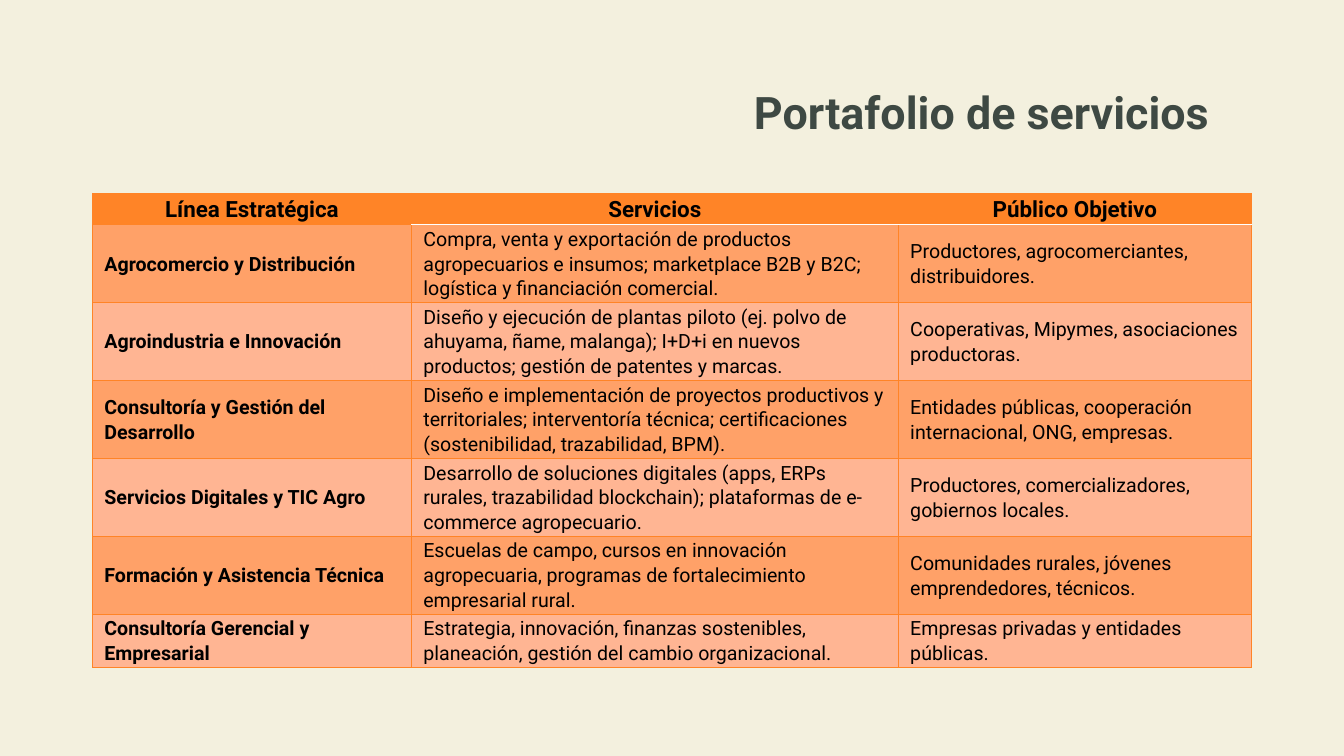
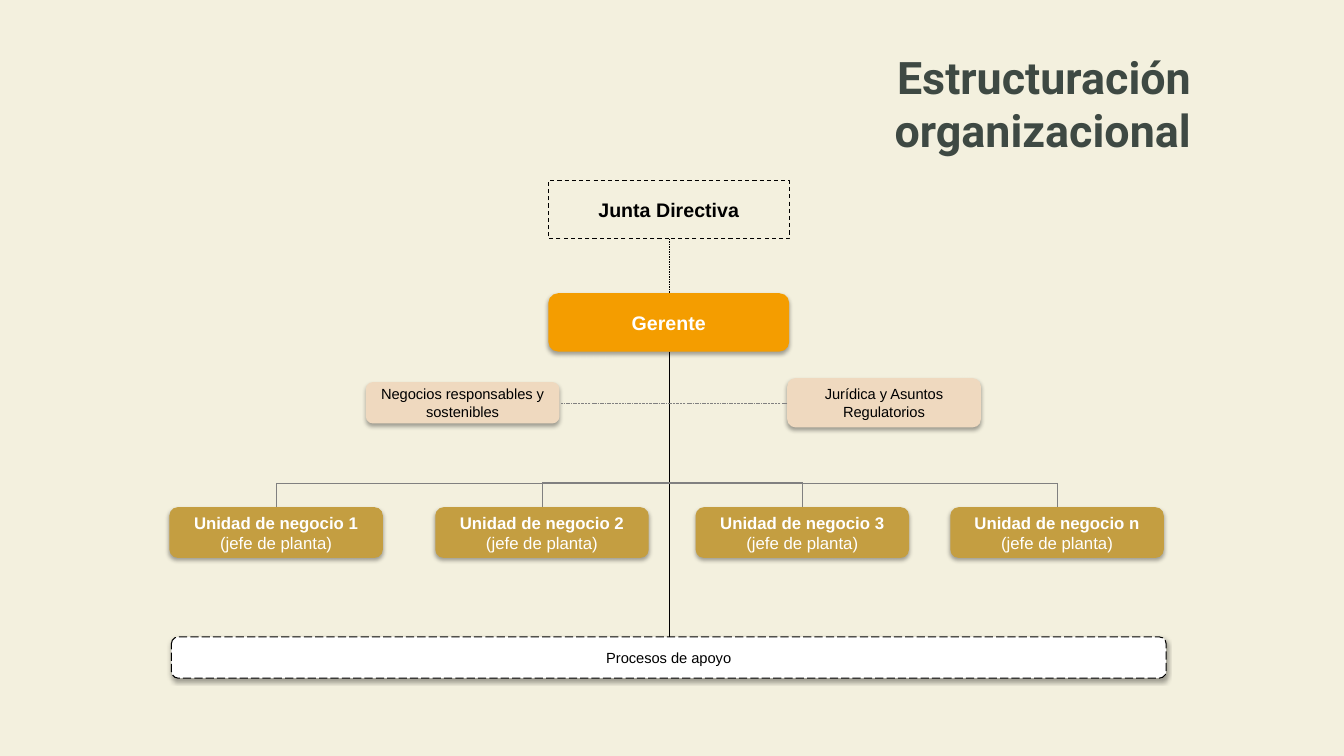
from lxml.etree import SubElement
from pptx import Presentation
from pptx.dml.color import RGBColor
from pptx.enum.dml import MSO_LINE
from pptx.enum.shapes import MSO_CONNECTOR, MSO_SHAPE
from pptx.enum.text import MSO_ANCHOR, PP_ALIGN
from pptx.oxml import parse_xml
from pptx.oxml.ns import nsdecls, qn
from pptx.util import Cm, Pt

CREAM = RGBColor(0xF3, 0xF0, 0xDE)
SLATE = RGBColor(0x3E, 0x49, 0x43)
BLACK = RGBColor(0x00, 0x00, 0x00)
WHITE = RGBColor(0xFF, 0xFF, 0xFF)
GRAY = RGBColor(0x80, 0x80, 0x80)
ORANGE = RGBColor(0xFF, 0x84, 0x27)
DARK_BAND = RGBColor(0xFF, 0xA1, 0x68)
LIGHT_BAND = RGBColor(0xFF, 0xB5, 0x93)
AMBER = RGBColor(0xF4, 0x9D, 0x00)
SAND = RGBColor(0xEF, 0xD9, 0xBF)
GOLD = RGBColor(0xC4, 0x9E, 0x41)


def add_box(page, kind, place, lines, size, color, fill=None, dash=None):
    box = page.shapes.add_shape(kind, *[Cm(length) for length in place])
    box.shadow.inherit = False
    if fill is None:
        box.fill.background()
    else:
        box.fill.solid()
        box.fill.fore_color.rgb = fill
        box._element.spPr.find(qn("a:effectLst")).append(parse_xml(
            f'<a:outerShdw {nsdecls("a")} blurRad="40000" dist="23000" dir="5400000" rotWithShape="0">'
            '<a:srgbClr val="000000"><a:alpha val="35000"/></a:srgbClr></a:outerShdw>'))
    if dash is None:
        box.line.fill.background()
    else:
        box.line.color.rgb = BLACK
        box.line.width = Pt(0.75)
        box.line.dash_style = dash
    frame = box.text_frame
    frame.word_wrap = True
    frame.vertical_anchor = MSO_ANCHOR.MIDDLE
    frame.margin_left = frame.margin_right = Cm(0.15)
    frame.margin_top = frame.margin_bottom = Cm(0.2)
    for index, (text, bold) in enumerate(lines):
        para = frame.add_paragraph() if index else frame.paragraphs[0]
        para.text = text
        para.alignment = PP_ALIGN.CENTER
        para.font.name = "Arial"
        para.font.size = Pt(size)
        para.font.bold = bold
        para.font.color.rgb = color
    return box


def add_line(page, ends, color, dash=None, start=None, finish=None):
    line = page.shapes.add_connector(MSO_CONNECTOR.STRAIGHT, *[Cm(length) for length in ends])
    line.line.color.rgb = color
    line.line.width = Pt(0.25)
    if dash is not None:
        line.line.dash_style = dash
    SubElement(line._element.spPr, qn("a:effectLst"))
    if start:
        line.begin_connect(*start)
    if finish:
        line.end_connect(*finish)


deck = Presentation()
deck.slide_width = Cm(33.87)
deck.slide_height = Cm(19.05)
deck.slide_master.background.fill.solid()
deck.slide_master.background.fill.fore_color.rgb = CREAM

titles = [
    ("Portafolio de servicios", (18.64, 2.01, 12.09, 1.62)),
    ("Estructuración organizacional", (17.7, 1.12, 12.57, 3)),
]
pages = []
for text, place in titles:
    page = deck.slides.add_slide(deck.slide_layouts[6])
    pages.append(page)
    title = page.shapes.add_textbox(*[Cm(length) for length in place])
    title.text_frame.word_wrap = True
    para = title.text_frame.paragraphs[0]
    para.text = text
    para.alignment = PP_ALIGN.RIGHT
    para.font.name = "Roboto"
    para.font.size = Pt(32)
    para.font.bold = True
    para.font.color.rgb = SLATE
services_page, structure_page = pages

services = [
    ("Línea Estratégica", "Servicios", "Público Objetivo"),
    ("Agrocomercio y Distribución",
     "Compra, venta y exportación de productos agropecuarios e insumos; marketplace B2B y B2C; logística y financiación comercial.",
     "Productores, agrocomerciantes, distribuidores."),
    ("Agroindustria e Innovación",
     "Diseño y ejecución de plantas piloto (ej. polvo de ahuyama, ñame, malanga); I+D+i en nuevos productos; gestión de patentes y marcas.",
     "Cooperativas, Mipymes, asociaciones productoras."),
    ("Consultoría y Gestión del Desarrollo",
     "Diseño e implementación de proyectos productivos y territoriales; interventoría técnica; certificaciones (sostenibilidad, trazabilidad, BPM).",
     "Entidades públicas, cooperación internacional, ONG, empresas."),
    ("Servicios Digitales y TIC Agro",
     "Desarrollo de soluciones digitales (apps, ERPs rurales, trazabilidad blockchain); plataformas de e-commerce agropecuario.",
     "Productores, comercializadores, gobiernos locales."),
    ("Formación y Asistencia Técnica",
     "Escuelas de campo, cursos en innovación agropecuaria, programas de fortalecimiento empresarial rural.",
     "Comunidades rurales, jóvenes emprendedores, técnicos."),
    ("Consultoría Gerencial y Empresarial",
     "Estrategia, innovación, finanzas sostenibles, planeación, gestión del cambio organizacional.",
     "Empresas privadas y entidades públicas."),
]
column_widths = [8.04, 12.27, 8.9]
row_heights = [0.79] + [1.96] * 5 + [1.34]
table = services_page.shapes.add_table(
    len(services), 3, Cm(2.33), Cm(4.87), Cm(sum(column_widths)), Cm(sum(row_heights))).table
for column, width in zip(table.columns, column_widths):
    column.width = Cm(width)
for row, height in zip(table.rows, row_heights):
    row.height = Cm(height)

for row_index, texts in enumerate(services):
    is_header = row_index == 0
    for column_index, text in enumerate(texts):
        cell = table.cell(row_index, column_index)
        white_side = {0: "lnB", 1: "lnT"}.get(row_index) if column_index else None
        for side in ("lnL", "lnR", "lnT", "lnB"):
            color, width = (WHITE, 1) if side == white_side else (ORANGE, 0.5)
            cell._tc.get_or_add_tcPr().append(parse_xml(
                f'<a:{side} {nsdecls("a")} w="{Pt(width)}"><a:solidFill>'
                f'<a:srgbClr val="{color}"/></a:solidFill></a:{side}>'))
        cell.fill.solid()
        cell.fill.fore_color.rgb = ORANGE if is_header else DARK_BAND if row_index % 2 else LIGHT_BAND
        cell.vertical_anchor = MSO_ANCHOR.MIDDLE
        cell.margin_left = cell.margin_right = Cm(0.03 if is_header else 0.3)
        cell.margin_top = cell.margin_bottom = Cm(0.03)
        para = cell.text_frame.paragraphs[0]
        para.text = text
        para.alignment = PP_ALIGN.CENTER if is_header else PP_ALIGN.LEFT
        para.line_spacing = 1.07
        para.font.name = "Roboto"
        para.font.size = Pt(16 if is_header else 14)
        para.font.bold = is_header or column_index == 0
        para.font.color.rgb = BLACK

ROUNDED = MSO_SHAPE.ROUNDED_RECTANGLE
board = add_box(structure_page, MSO_SHAPE.RECTANGLE, (13.82, 4.55, 6.07, 1.47),
                [("Junta Directiva", True)], 14, BLACK, dash=MSO_LINE.DASH)
manager = add_box(structure_page, ROUNDED, (13.82, 7.39, 6.07, 1.47),
                  [("Gerente", True)], 14, WHITE, AMBER)
sustainability = add_box(structure_page, ROUNDED, (9.22, 9.63, 4.88, 1.04),
                         [("Negocios responsables y sostenibles", False)], 10.5, BLACK, SAND)
legal = add_box(structure_page, ROUNDED, (19.84, 9.53, 4.88, 1.24),
                [("Jurídica y Asuntos Regulatorios", False)], 10.5, BLACK, SAND)
support = add_box(structure_page, ROUNDED, (4.32, 16.05, 25.07, 1.04),
                  [("Procesos de apoyo", False)], 10.5, BLACK, WHITE, MSO_LINE.LONG_DASH)

unit_top, unit_width = 12.78, 5.38
unit_lefts = [4.27, 10.97, 17.53, 23.95]
units = [
    add_box(structure_page, ROUNDED, (left, unit_top, unit_width, 1.28),
            [(f"Unidad de negocio {name}", True), ("(jefe de planta)", False)], 12, WHITE, GOLD)
    for left, name in zip(unit_lefts, "123n")
]

center = 16.85
add_line(structure_page, (center, 6.02, center, 7.39), BLACK, MSO_LINE.DASH, (board, 2), (manager, 0))
add_line(structure_page, (center, 8.86, center, 16.05), BLACK, None, (manager, 2), (support, 0))
add_line(structure_page, (19.84, 10.15, 14.1, 10.15), GRAY, MSO_LINE.DASH_DOT_DOT,
         (legal, 1), (sustainability, 3))
for bar_top, pair in [(12.17, (0, 3)), (12.14, (1, 2))]:
    unit_centers = [unit_lefts[index] + unit_width / 2 for index in pair]
    add_line(structure_page, (unit_centers[0], bar_top, unit_centers[1], bar_top), GRAY)
    for index, middle in zip(pair, unit_centers):
        add_line(structure_page, (middle, bar_top, middle, unit_top), GRAY, finish=(units[index], 0))

deck.save("out.pptx")
